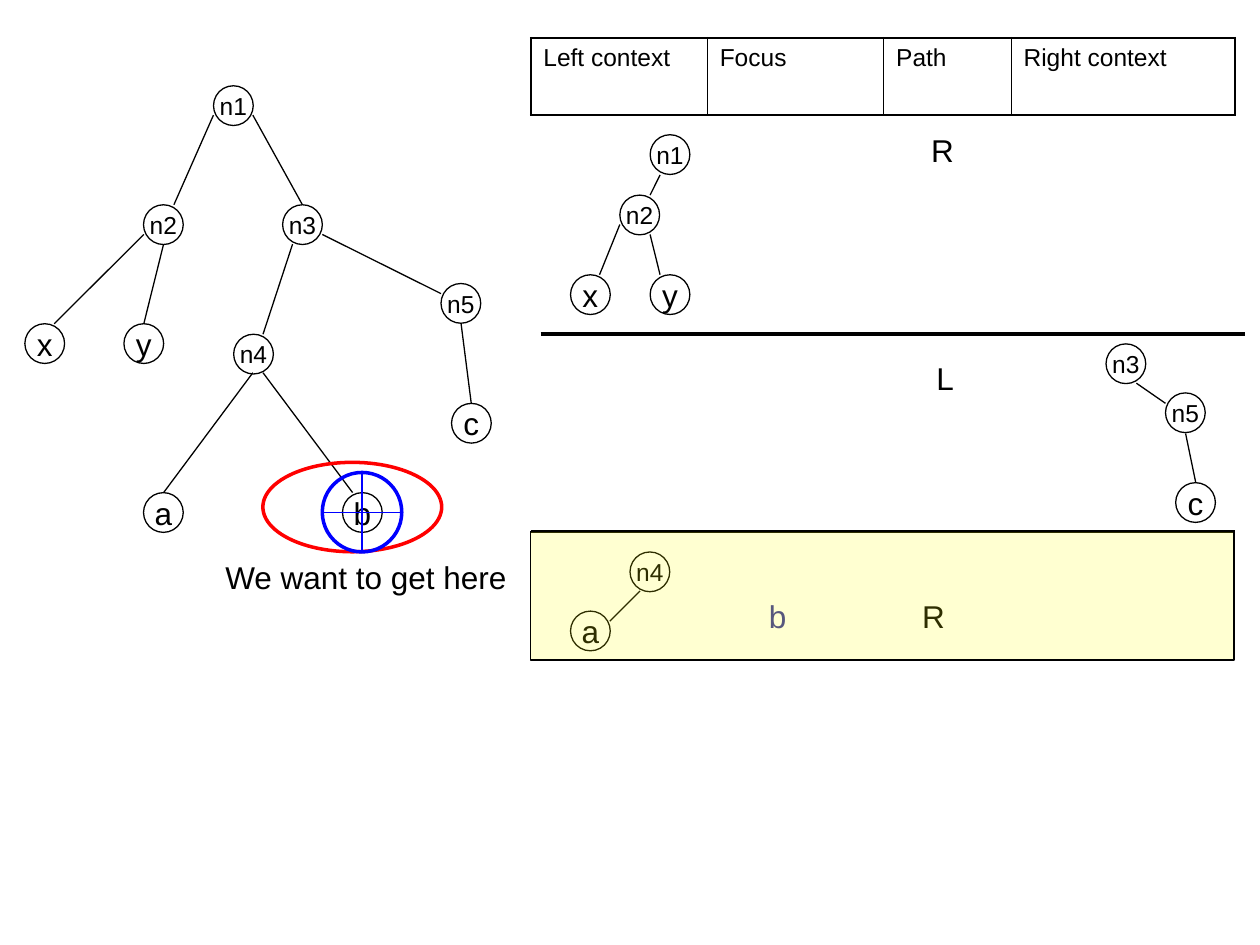
"""Build a slide that traces a tree zipper down to its focus."""
import pptx
import pptx.dml.color
import pptx.enum.shapes
import pptx.enum.text
import pptx.oxml
import pptx.oxml.ns
import pptx.util

Pt = pptx.util.Pt
SHAPES = pptx.enum.shapes.MSO_SHAPE
ALIGN = pptx.enum.text.PP_ALIGN
BLACK = pptx.dml.color.RGBColor(0, 0, 0)
WHITE = pptx.dml.color.RGBColor(255, 255, 255)
RED = pptx.dml.color.RGBColor(255, 0, 0)
BLUE = pptx.dml.color.RGBColor(0, 0, 255)
INDIGO = pptx.dml.color.RGBColor(0x33, 0x33, 0x99)
YELLOW = pptx.dml.color.RGBColor(255, 255, 0)
FONT = "Arial"
NODE_SIZE = 22.7
THIN, THICK = 0.75, 2
TABLE_LEFT, TABLE_TOP, ROW_HEIGHT = 303.3, 21.6, 44
COLUMNS = [("Left context", 100.8), ("Focus", 100.8), ("Path", 72.8), ("Right context", 128)]
OUTER_BORDER, INNER_BORDER = 1.08, 0.45

FULL_TREE = (
    [("n1", 122, 49), ("n3", 161.5, 117), ("n2", 82, 117), ("n4", 133.5, 191),
     ("n5", 252, 162), ("x", 14.2, 185), ("y", 70.8, 185), ("c", 258, 230.5),
     ("a", 82, 281.5), ("b", 195.7, 281.5)],
    [(122, 65.8, 99.4, 117), (144.5, 65.8, 172.8, 117), (82.2, 134, 31, 185),
     (93.5, 139.5, 82.2, 185), (184.2, 134, 252, 167.8), (167.2, 139.5, 150.3, 191),
     (263.5, 185, 269.3, 230.5), (144.5, 213, 93.5, 281.5), (150.3, 213, 201.5, 281.5)],
)
FIRST_CONTEXT = (
    [("n1", 371.5, 77), ("n2", 354.2, 111.5), ("x", 326, 157), ("y", 371.5, 157)],
    [(377.2, 100, 371.5, 111.5), (354.2, 128.3, 342.6, 157), (371.5, 134, 377.2, 157)],
)
SECOND_CONTEXT = (
    [("n3", 632, 196.5), ("n5", 666, 224.5), ("c", 671.8, 275.8)],
    [(649.4, 219, 666, 230.5), (677.5, 247.7, 683.3, 275.8)],
)
THIRD_CONTEXT = (
    [("n4", 360, 315.4), ("a", 326, 349.2)],
    [(365.8, 337.7, 348.5, 355)],
)


def format_text(text_frame, text, size, color=BLACK, alignment=ALIGN.LEFT):
    """Fill a text frame with one formatted paragraph."""
    text_frame.text = text
    paragraph = text_frame.paragraphs[0]
    paragraph.alignment = alignment
    font = paragraph.runs[0].font
    font.name, font.size = FONT, Pt(size)
    font.color.rgb = color


def add_outline(shapes, kind, left, top, width, height, color, weight, fill=None):
    """Add a preset shape with an outline and an optional fill."""
    shape = shapes.add_shape(kind, Pt(left), Pt(top), Pt(width), Pt(height))
    shape.shadow.inherit = False
    if fill is None:
        shape.fill.background()
    else:
        shape.fill.solid()
        shape.fill.fore_color.rgb = fill
    shape.line.color.rgb = color
    shape.line.width = Pt(weight)
    return shape


def add_line(shapes, start_x, start_y, end_x, end_y, color=BLACK, weight=THIN):
    """Add a straight line between two points."""
    line = shapes.add_connector(pptx.enum.shapes.MSO_CONNECTOR.STRAIGHT,
                                Pt(start_x), Pt(start_y), Pt(end_x), Pt(end_y))
    line.line.color.rgb = color
    line.line.width = Pt(weight)
    properties = line._element.spPr
    properties.append(pptx.oxml.parse_xml(f"<a:effectLst {pptx.oxml.ns.nsdecls('a')}/>"))


def add_tree(shapes, tree):
    """Add the labelled nodes of a tree and its edges."""
    nodes, edges = tree
    for label, left, top in nodes:
        node = add_outline(shapes, SHAPES.OVAL, left, top, NODE_SIZE, NODE_SIZE,
                           BLACK, THIN, WHITE)
        node.text_frame.word_wrap = False
        node.text_frame.vertical_anchor = pptx.enum.text.MSO_ANCHOR.MIDDLE
        format_text(node.text_frame, label, 18 if len(label) == 1 else 14,
                    alignment=ALIGN.CENTER)
    for edge in edges:
        add_line(shapes, *edge)


def add_label(shapes, text, left, top, width, color=BLACK, alignment=ALIGN.RIGHT):
    """Add a one-line text label."""
    box = shapes.add_textbox(Pt(left), Pt(top), Pt(width), Pt(29))
    box.text_frame.word_wrap = True
    format_text(box.text_frame, text, 18, color, alignment)


def set_borders(cell, weights):
    """Draw the left, right, top and bottom borders of a cell."""
    properties = cell._tc.get_or_add_tcPr()
    for index, (side, weight) in enumerate(zip("LRTB", weights)):
        properties.insert(index, pptx.oxml.parse_xml(
            f'<a:ln{side} {pptx.oxml.ns.nsdecls("a")} w="{Pt(weight)}"><a:solidFill>'
            f'<a:srgbClr val="{BLACK}"/></a:solidFill></a:ln{side}>'))


def add_header_table(shapes):
    """Add the one-row table that names the zipper parts."""
    total = sum(width for _, width in COLUMNS)
    table = shapes.add_table(1, len(COLUMNS), Pt(TABLE_LEFT), Pt(TABLE_TOP),
                             Pt(total), Pt(ROW_HEIGHT)).table
    table.first_row = table.horz_banding = False
    last = len(COLUMNS) - 1
    for index, (heading, width) in enumerate(COLUMNS):
        table.columns[index].width = Pt(width)
        cell = table.cell(0, index)
        format_text(cell.text_frame, heading, 14)
        cell.fill.background()
        set_borders(cell, (OUTER_BORDER if index == 0 else INNER_BORDER,
                           OUTER_BORDER if index == last else INNER_BORDER,
                           OUTER_BORDER, OUTER_BORDER))


def add_highlight(shapes):
    """Add the translucent band over the last zipper step."""
    band = add_outline(shapes, SHAPES.RECTANGLE, TABLE_LEFT, 303.8, 401.8, 73.4,
                       BLACK, THIN, YELLOW)
    color = band._element.spPr.find(".//" + pptx.oxml.ns.qn("a:srgbClr"))
    color.append(pptx.oxml.parse_xml(
        f'<a:alpha {pptx.oxml.ns.nsdecls("a")} val="18000"/>'))


def add_crosshair(shapes, left, top, size):
    """Add a grouped circle with a cross through its centre."""
    members = shapes.add_group_shape().shapes
    middle_x, middle_y = left + size / 2, top + size / 2
    add_outline(members, SHAPES.OVAL, left, top, size, size, BLUE, THICK)
    add_line(members, middle_x, top, middle_x, top + size, BLUE)
    add_line(members, left, middle_y, left + size, middle_y, BLUE)


def main():
    """Build and save the presentation."""
    presentation = pptx.Presentation()
    presentation.slide_width, presentation.slide_height = Pt(720), Pt(540)
    slide = presentation.slides.add_slide(presentation.slide_layouts[6])
    shapes = slide.shapes
    add_tree(shapes, FULL_TREE)
    add_outline(shapes, SHAPES.OVAL, 150.2, 264.2, 102.2, 51.1, RED, THICK)
    add_label(shapes, "We want to get here", 121.7, 315.4, 204.5, alignment=ALIGN.LEFT)
    add_header_table(shapes)
    add_label(shapes, "b", 411.1, 337.7, 45.4, INDIGO)
    add_label(shapes, "R", 518.4, 71.3, 33.8)
    add_tree(shapes, FIRST_CONTEXT)
    add_line(shapes, 309, 190.8, 711.4, 190.8, weight=THICK)
    add_label(shapes, "L", 518.4, 201.6, 33.8)
    add_tree(shapes, SECOND_CONTEXT)
    add_line(shapes, TABLE_LEFT, 303.8, 705.7, 303.8, weight=THICK)
    add_label(shapes, "R", 513.2, 337.7, 33.8)
    add_tree(shapes, THIRD_CONTEXT)
    add_highlight(shapes)
    add_crosshair(shapes, 184.2, 270, 45.4)
    presentation.save("out.pptx")


if __name__ == "__main__":
    main()
